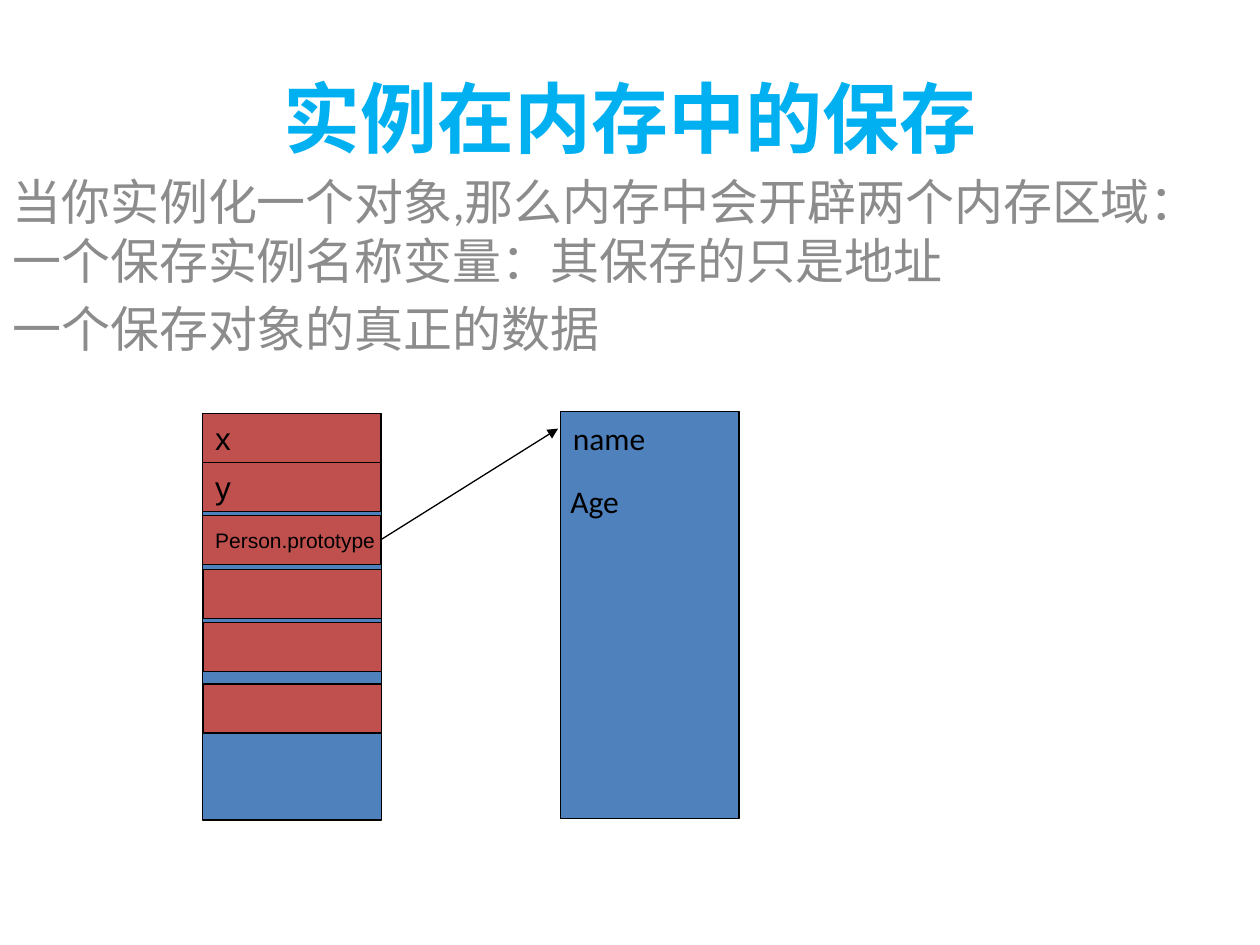
from pptx import Presentation
from pptx.dml.color import RGBColor
from pptx.enum.shapes import MSO_CONNECTOR, MSO_SHAPE
from pptx.enum.text import MSO_ANCHOR, PP_ALIGN
from pptx.oxml.ns import qn
from pptx.util import Cm, Pt
from lxml import etree

RECT = MSO_SHAPE.RECTANGLE
STRAIGHT = MSO_CONNECTOR.STRAIGHT
TOP, MIDDLE = MSO_ANCHOR.TOP, MSO_ANCHOR.MIDDLE
LEFT, CENTER = PP_ALIGN.LEFT, PP_ALIGN.CENTER
BLUE, RED, BLACK = "4F81BD", "C0504D", "000000"
SLOT_H = 0.99


def rgb(value):
    return RGBColor.from_string(value)


def write(sp, lines, size, font, color, bold=False, align=LEFT, anchor=TOP, before=0):
    tf = sp.text_frame
    tf.word_wrap = True
    tf.vertical_anchor = anchor
    for i, line in enumerate(lines):
        p = tf.add_paragraph() if i else tf.paragraphs[0]
        p.alignment = align
        p.space_before = Pt(before)
        r = p.add_run()
        r.text = line
        r.font.size = Pt(size)
        r.font.name = font
        r.font.bold = bold
        r.font.color.rgb = rgb(color)


def add_text(s, x, y, w, h, lines, size, color, **options):
    sp = s.shapes.add_textbox(Cm(x), Cm(y), Cm(w), Cm(h))
    write(sp, lines, size, "Calibri", color, **options)


def add_rect(s, x, y, w, h, fill):
    sp = s.shapes.add_shape(RECT, Cm(x), Cm(y), Cm(w), Cm(h))
    sp.shadow.inherit = False
    sp.fill.solid()
    sp.fill.fore_color.rgb = rgb(fill)
    sp.line.color.rgb = rgb(BLACK)
    sp.line.width = Pt(0.75)
    return sp


def add_title(s, x, y, w, h, text):
    sp = s.shapes.title
    sp.left, sp.top, sp.width, sp.height = Cm(x), Cm(y), Cm(w), Cm(h)
    write(sp, [text], 44, "Calibri", "00B0F0", bold=True, align=CENTER, anchor=MIDDLE)


def add_stack(s, x, y, w, h, slots):
    add_rect(s, x, y, w, h, BLUE)
    cells = []
    for dx, dy, label, size in slots:
        sp = add_rect(s, x + dx, y + dy, w - 0.02, SLOT_H, RED)
        if label:
            write(sp, [label], size, "Arial", BLACK, anchor=MIDDLE)
            sp.text_frame.margin_right = 0
        cells.append(sp)
    return cells


def add_heap(s, x, y, w, h):
    add_rect(s, x, y, w, h, BLUE)
    add_text(s, x, y + 0.03, w, 1.02, ["name"], 18, BLACK)
    add_text(s, x - 0.05, y + 1.3, w, 1.02, ["Age"], 18, BLACK)


def add_arrow(s, source, x, y):
    c = s.shapes.add_connector(STRAIGHT, 0, 0, Cm(x), Cm(y))
    c.begin_connect(source, 3)
    c.line.color.rgb = rgb(BLACK)
    c.line.width = Pt(0.75)
    props = c._element.spPr
    etree.SubElement(props.find(qn("a:ln")), qn("a:tailEnd"), type="triangle")
    etree.SubElement(props, qn("a:effectLst"))


def main():
    prs = Presentation()
    prs.slide_width, prs.slide_height = Cm(25.4), Cm(19.05)
    s = prs.slides.add_slide(prs.slide_layouts[5])
    add_title(s, 1.27, 0.76, 22.86, 3.18, "实例在内存中的保存")
    add_text(s, 0, 3.33, 25.4, 13.64, [
        "当你实例化一个对象,那么内存中会开辟两个内存区域：一个保存实例名称变量：其保存的只是地址",
        "一个保存对象的真正的数据",
    ], 28, "8C8C8C", before=5.6)
    add_heap(s, 11.3, 8.3, 3.6, 8.2)
    cells = add_stack(s, 4.09, 8.33, 3.6, 8.2, [
        (0, 0, "x", 18),
        (0, 0.99, "y", 18),
        (0, 2.06, "Person.prototype", 12),
        (0.02, 3.15, "", 18),
        (0.02, 4.22, "", 18),
        (0.02, 5.46, "", 18),
    ])
    add_arrow(s, cells[2], 11.25, 8.64)
    prs.save("out.pptx")


if __name__ == "__main__":
    main()
